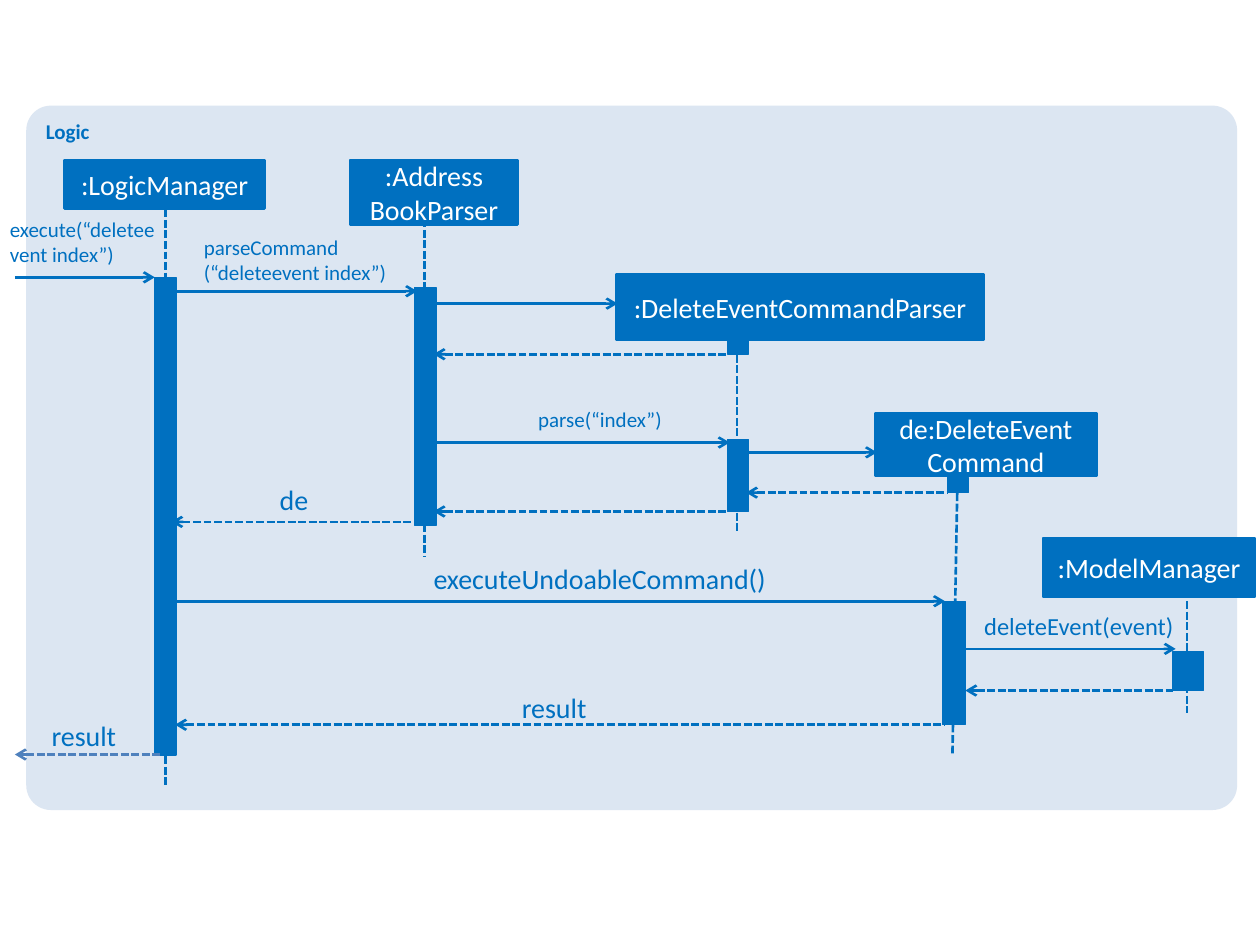
import dataclasses
import typing

import lxml.etree
import pptx
import pptx.dml.color
import pptx.enum.dml
import pptx.enum.shapes
import pptx.enum.text
import pptx.oxml.ns
import pptx.util

Cm = pptx.util.Cm
Pt = pptx.util.Pt
Kind = pptx.enum.shapes.MSO_SHAPE
Box = tuple[float, float, float, float]
Dot = tuple[float, float]


@dataclasses.dataclass(frozen=True)
class Theme:
    font: str = "Calibri"
    blue: str = "0070C0"
    steel: str = "4F81BD"
    pale: str = "DCE6F2"
    white: str = "FFFFFF"
    small: int = 12
    mid: int = 14
    large: int = 16
    thin: float = 0.75
    thick: float = 1.5


THEME = Theme()


@dataclasses.dataclass(frozen=True)
class Actor:
    name: str
    head: Box
    start: Dot
    end: Dot
    bars: tuple[Box, ...]


@dataclasses.dataclass(frozen=True)
class Message:
    left: float
    right: float
    y: float
    reply: bool = False
    color: str = THEME.blue


@dataclasses.dataclass(frozen=True)
class Label:
    text: str
    box: Box
    size: int = THEME.large
    wrap: bool = False


ACTORS = (
    Actor(":LogicManager", (1.3, 3.23, 4.04, 0.97), (3.33, 4.01), (3.33, 15.82),
          ((3.12, 5.59, 0.43, 9.63),)),
    Actor(":Address\nBookParser", (7.06, 3.23, 3.38, 1.3), (8.56, 4.42), (8.56, 11.23),
          ((8.36, 5.79, 0.43, 4.8),)),
    Actor(":DeleteEventCommandParser", (12.42, 5.54, 7.42, 1.3), (14.86, 6.73), (14.86, 10.72),
          ((14.66, 6.73, 0.43, 0.41), (14.66, 8.86, 0.43, 1.45))),
    Actor("de:DeleteEvent\vCommand", (17.65, 8.33, 4.45, 1.27), (19.3, 9.73), (19.2, 15.21),
          ((19.1, 9.63, 0.43, 0.3), (19.0, 12.12, 0.46, 2.49))),
    Actor(":ModelManager", (21.03, 10.85, 4.27, 1.19), (23.93, 12.12), (23.93, 14.38),
          ((23.65, 13.13, 0.61, 0.79),)),
)

MESSAGES = (
    Message(0.3, 3.12, 5.59),
    Message(3.45, 8.41, 5.87),
    Message(8.74, 12.45, 6.12),
    Message(8.74, 14.66, 7.14, True),
    Message(8.74, 14.71, 8.92),
    Message(15.09, 17.68, 9.12),
    Message(15.04, 19.1, 9.93, True),
    Message(8.74, 14.66, 10.31, True),
    Message(3.45, 8.31, 10.52, True),
    Message(3.53, 19.05, 12.12),
    Message(19.46, 23.7, 13.08),
    Message(19.46, 23.65, 13.92, True),
    Message(3.53, 19.05, 14.61, True),
    Message(0.3, 3.23, 15.21, True, THEME.steel),
)

LABELS = (
    Label("execute(“deleteevent index”)", (0.2, 4.37, 3.0, 1.02), THEME.small, True),
    Label("parseCommand\n(“deleteevent index”)", (4.11, 4.72, 3.94, 1.02), THEME.small),
    Label("parse(“index”)", (10.85, 8.2, 2.84, 0.51), THEME.small),
    Label("de", (5.64, 9.73, 0.61, 0.69)),
    Label("executeUndoableCommand()", (8.74, 11.33, 7.92, 0.69)),
    Label("deleteEvent(event)", (19.84, 12.32, 4.34, 0.61), THEME.mid),
    Label("result", (10.52, 13.92, 1.73, 0.69)),
    Label("result", (1.04, 14.48, 1.63, 0.69)),
)


def tint(code: str) -> pptx.dml.color.RGBColor:
    return pptx.dml.color.RGBColor.from_string(code)


def write(frame: typing.Any, text: str, size: int, color: str,
          bold: bool = False, center: bool = False) -> None:
    align = pptx.enum.text.PP_ALIGN
    frame.text = text
    for para in frame.paragraphs:
        para.alignment = align.CENTER if center else align.LEFT
        for run in para.runs:
            run.font.name = THEME.font
            run.font.size = Pt(size)
            run.font.bold = bold
            run.font.color.rgb = tint(color)


def block(slide: typing.Any, box: Box, color: str, width: float = 0,
          kind: typing.Any = Kind.RECTANGLE) -> typing.Any:
    shape = slide.shapes.add_shape(kind, *map(Cm, box))
    shape.shadow.inherit = False
    shape.fill.solid()
    shape.fill.fore_color.rgb = tint(color)
    if width:
        shape.line.color.rgb = tint(color)
        shape.line.width = Pt(width)
    else:
        shape.line.fill.background()
    return shape


def link(slide: typing.Any, start: Dot, end: Dot, color: str,
         dash: bool = False, arrow: str = "") -> None:
    straight = pptx.enum.shapes.MSO_CONNECTOR.STRAIGHT
    wire = slide.shapes.add_connector(straight, *map(Cm, start + end))
    wire.line.color.rgb = tint(color)
    wire.line.width = Pt(THEME.thick)
    if dash:
        wire.line.dash_style = pptx.enum.dml.MSO_LINE.SQUARE_DOT
    name = pptx.oxml.ns.qn
    props = wire.element.spPr
    if arrow:
        lxml.etree.SubElement(props.find(name("a:ln")), name(arrow), type="arrow")
    lxml.etree.SubElement(props, name("a:effectLst"))


def draw_actor(slide: typing.Any, actor: Actor) -> None:
    link(slide, actor.start, actor.end, THEME.blue, dash=True)
    for bar in actor.bars:
        block(slide, bar, THEME.blue, THEME.thin)
    head = block(slide, actor.head, THEME.blue, THEME.thick)
    head.text_frame.vertical_anchor = pptx.enum.text.MSO_ANCHOR.MIDDLE
    write(head.text_frame, actor.name, THEME.large, THEME.white, center=True)


def draw_message(slide: typing.Any, item: Message) -> None:
    arrow = "a:headEnd" if item.reply else "a:tailEnd"
    link(slide, (item.left, item.y), (item.right, item.y), item.color, item.reply, arrow)


def draw_label(slide: typing.Any, label: Label) -> None:
    frame = slide.shapes.add_textbox(*map(Cm, label.box)).text_frame
    frame.margin_left = frame.margin_right = frame.margin_top = frame.margin_bottom = 0
    frame.word_wrap = label.wrap
    frame.auto_size = pptx.enum.text.MSO_AUTO_SIZE.SHAPE_TO_FIT_TEXT
    write(frame, label.text, label.size, THEME.blue)


def main() -> None:
    deck = pptx.Presentation()
    deck.slide_width, deck.slide_height = Cm(25.4), Cm(19.05)
    slide = deck.slides.add_slide(deck.slide_layouts[6])
    panel = block(slide, (0.53, 2.13, 24.41, 14.2), THEME.pale, kind=Kind.ROUNDED_RECTANGLE)
    panel.adjustments[0] = 0.035
    panel.text_frame.vertical_anchor = pptx.enum.text.MSO_ANCHOR.TOP
    write(panel.text_frame, "Logic", THEME.small, THEME.blue, bold=True)
    for actor in ACTORS:
        draw_actor(slide, actor)
    for item in MESSAGES:
        draw_message(slide, item)
    for label in LABELS:
        draw_label(slide, label)
    deck.save("out.pptx")


if __name__ == "__main__":
    main()
